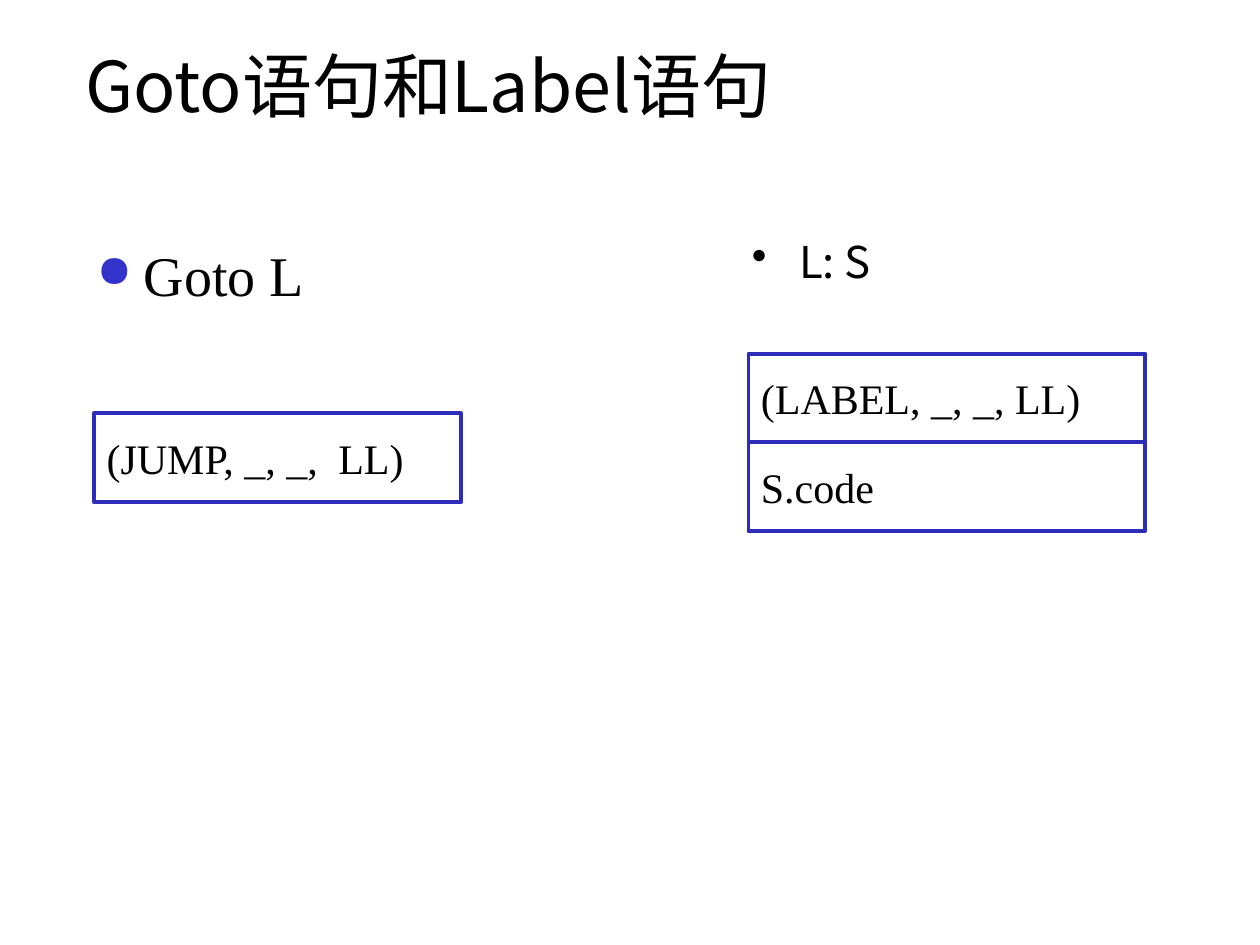
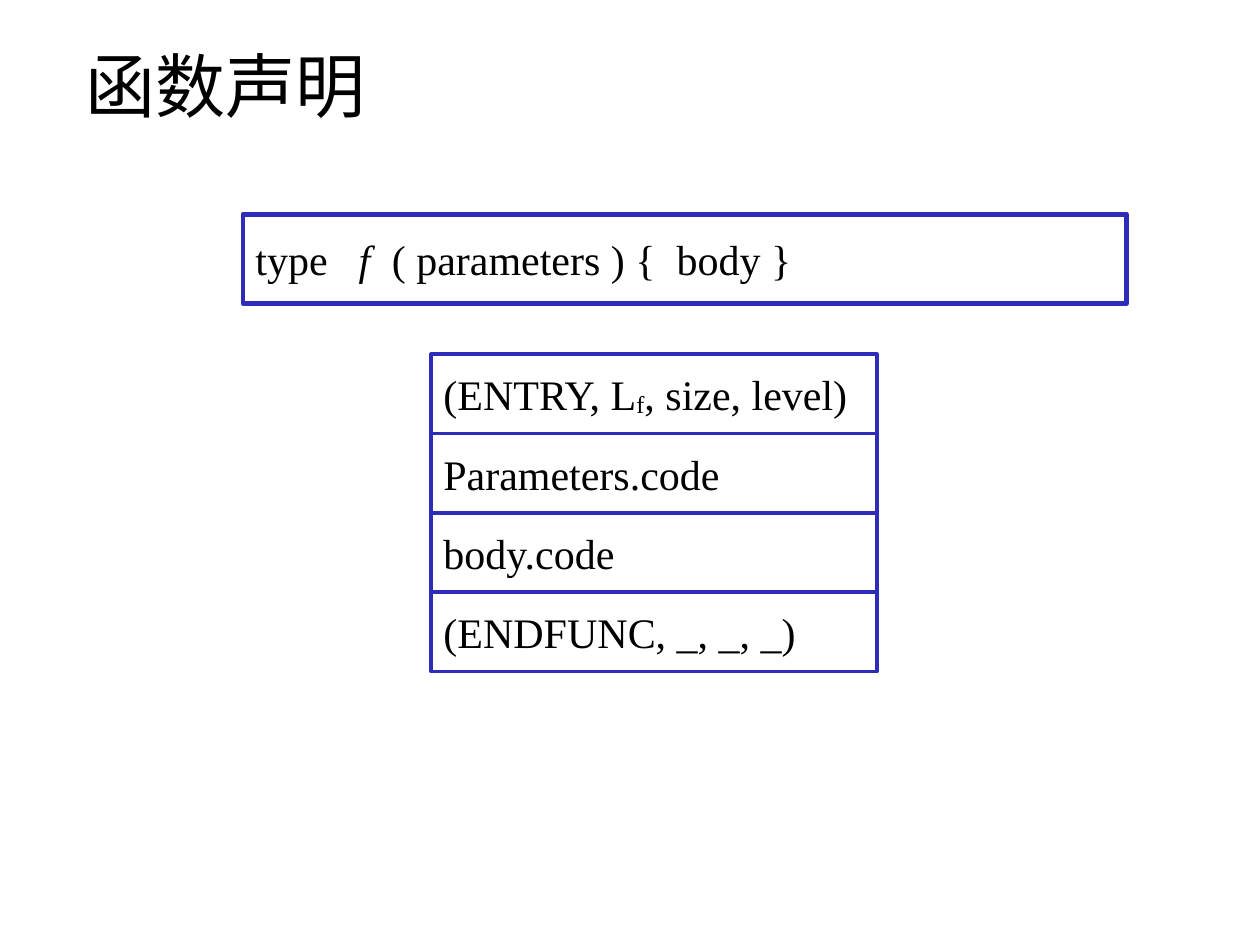
import pptx
import pptx.util
import pptx.dml.color
import pptx.enum.shapes
import pptx.enum.text
import pptx.oxml.ns
from lxml import etree

Cm, Pt = pptx.util.Cm, pptx.util.Pt
RGBColor = pptx.dml.color.RGBColor
MIDDLE = pptx.enum.text.MSO_ANCHOR.MIDDLE
TOP = pptx.enum.text.MSO_ANCHOR.TOP

BLACK = RGBColor(0x00, 0x00, 0x00)
FRAME_BLUE = RGBColor(0x2D, 0x2D, 0xB9)
BULLET_BLUE = RGBColor(0x33, 0x33, 0xCC)
SANS, SERIF = "Noto Sans CJK KR", "Times New Roman"
TITLE_BOX = (1.47, 0.43, 21.56, 2.54)
PLAIN, ITALIC, SUB = {}, {"i": "1"}, {"baseline": "-6000"}

# Content: each code row is a list of (text, run attributes); lengths in cm
SLIDES = [
    {
        "title": "Goto语句和Label语句",
        "bullets": [
            {"text": "L: S", "box": (14.91, 4.72, 7.01, 1.4), "size": 25, "font": SANS,
             "char": "•", "color": BLACK, "percent": 100, "line": 0.9},
            {"text": "Goto L", "box": (1.7, 4.72, 5.99, 1.6), "size": 32, "font": SERIF,
             "char": "●", "color": BULLET_BLUE, "percent": 80, "line": 1.0},
        ],
        "stacks": [
            {"left": 1.9, "top": 8.33, "width": 7.39, "row": 1.8, "line": 2.25, "tabs": [4.67],
             "rows": [[("(JUMP, _, _,\tLL)", PLAIN)]]},
            {"left": 15.09, "top": 7.13, "width": 8, "row": 1.79, "line": 2.25, "tabs": [],
             "rows": [[("(LABEL, _, _, LL)", PLAIN)], [("S.code", PLAIN)]]},
        ],
    },
    {
        "title": "函数声明",
        "bullets": [],
        "stacks": [
            {"left": 4.9, "top": 4.32, "width": 17.81, "row": 1.8, "line": 2.75,
             "tabs": [2.08, 2.75, 8.49],
             "rows": [[("type\t", PLAIN), ("f", ITALIC), ("\t( parameters ) {\tbody }", PLAIN)]]},
            {"left": 8.69, "top": 7.14, "width": 8.99, "row": 1.6, "line": 2, "tabs": [],
             "rows": [[("(ENTRY, L", PLAIN), ("f", SUB), (", size, level)", PLAIN)],
                      [("Parameters.code", PLAIN)],
                      [("body.code", PLAIN)],
                      [("(ENDFUNC, _, _, _)", PLAIN)]]},
        ],
    },
]


def add_element(parent, tag, **attributes):
    element = etree.SubElement(parent, pptx.oxml.ns.qn(tag))
    for name, value in attributes.items():
        element.set(name, str(value))
    return element


def set_frame(shape, anchor):
    tf = shape.text_frame
    frame_format = {"word_wrap": True, "vertical_anchor": anchor,
                    "margin_left": Cm(0.25), "margin_right": Cm(0.25),
                    "margin_top": Cm(0.13), "margin_bottom": Cm(0.13)}
    for name, value in frame_format.items():
        setattr(tf, name, value)
    p = tf.paragraphs[0]
    p.alignment = pptx.enum.text.PP_ALIGN.LEFT
    return p


def add_run(p, text, size, font, attributes=PLAIN):
    r = p.add_run()
    r.text = text
    for name, value in {"size": Pt(size), "name": font}.items():
        setattr(r.font, name, value)
    r.font.color.rgb = BLACK
    rPr = r.font._element
    add_element(rPr, "a:ea", typeface=font)
    for name, value in attributes.items():
        rPr.set(name, value)


def add_text_box(s, box, anchor):
    return set_frame(s.shapes.add_textbox(*map(Cm, box)), anchor)


def add_bullet(s, item):
    p = add_text_box(s, item["box"], TOP)
    p.line_spacing = item["line"]
    pPr = p._p.get_or_add_pPr()
    pPr.set("marL", str(Cm(0.95)))
    pPr.set("indent", str(-Cm(0.95)))
    add_element(add_element(pPr, "a:buClr"), "a:srgbClr", val=item["color"])
    add_element(pPr, "a:buSzPct", val=item["percent"] * 1000)
    add_element(pPr, "a:buChar", char=item["char"])
    add_run(p, item["text"], item["size"], item["font"])


def add_stack(s, stack):
    for i, runs in enumerate(stack["rows"]):
        sp = s.shapes.add_shape(
            pptx.enum.shapes.MSO_SHAPE.RECTANGLE,
            Cm(stack["left"]), Cm(stack["top"] + i * stack["row"]),
            Cm(stack["width"]), Cm(stack["row"]))
        sp.shadow.inherit = False
        sp.fill.background()
        sp.line.color.rgb = FRAME_BLUE
        sp.line.width = Pt(stack["line"])
        p = set_frame(sp, MIDDLE)
        if stack["tabs"]:
            tab_list = add_element(p._p.get_or_add_pPr(), "a:tabLst")
            for position in stack["tabs"]:
                add_element(tab_list, "a:tab", pos=int(Cm(position)), algn="l")
        for text, attributes in runs:
            add_run(p, text, 24, SERIF, attributes)


def main():
    prs = pptx.Presentation()
    prs.slide_width, prs.slide_height = Cm(25.4), Cm(19.05)
    for content in SLIDES:
        s = prs.slides.add_slide(prs.slide_layouts[6])
        add_run(add_text_box(s, TITLE_BOX, MIDDLE), content["title"], 40, SANS)
        for item in content["bullets"]:
            add_bullet(s, item)
        for stack in content["stacks"]:
            add_stack(s, stack)
    prs.save("out.pptx")


if __name__ == "__main__":
    main()
